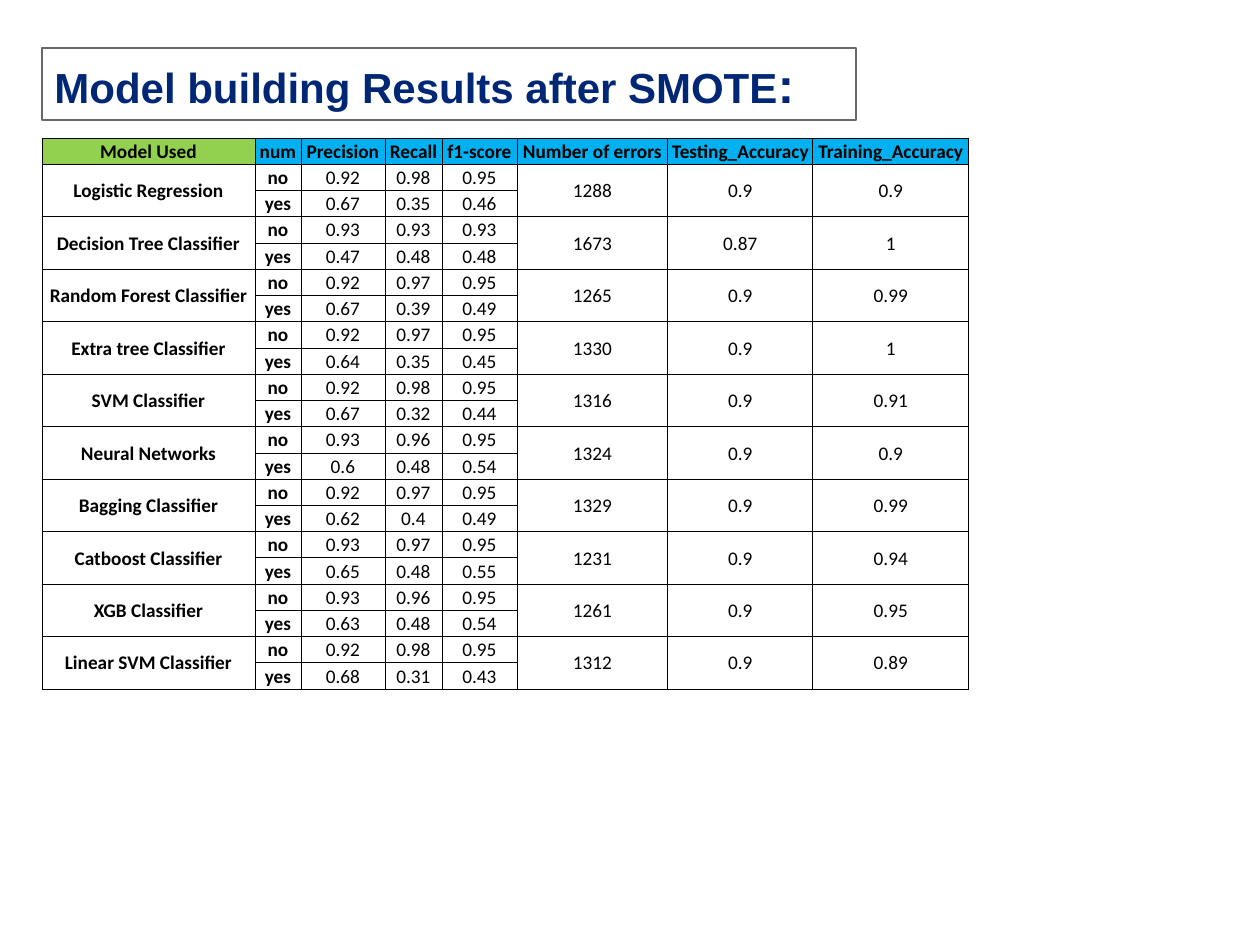
import pptx
import pptx.dml.color
import pptx.enum.shapes
import pptx.enum.text
import pptx.oxml
import pptx.oxml.ns
import pptx.util

RGB = pptx.dml.color.RGBColor
BLACK = RGB(0x00, 0x00, 0x00)
WHITE = RGB(0xFF, 0xFF, 0xFF)
GRAY = RGB(0x69, 0x69, 0x69)
NAVY = RGB(0x00, 0x27, 0x76)
GREEN = RGB(0x92, 0xD0, 0x50)
BLUE = RGB(0x00, 0xB0, 0xF0)

COLUMNS = [  # heading, width in px
    ("Model Used", 213), ("num", 46), ("Precision", 84), ("Recall", 57),
    ("f1-score", 75), ("Number of errors", 151),
    ("Testing_Accuracy", 145), ("Training_Accuracy", 156),
]
RESULTS = [  # model, scores for "no", scores for "yes", errors and accuracies
    ("Logistic Regression", "0.92 0.98 0.95", "0.67 0.35 0.46", "1288 0.9 0.9"),
    ("Decision Tree Classifier", "0.93 0.93 0.93", "0.47 0.48 0.48", "1673 0.87 1"),
    ("Random Forest Classifier", "0.92 0.97 0.95", "0.67 0.39 0.49", "1265 0.9 0.99"),
    ("Extra tree Classifier", "0.92 0.97 0.95", "0.64 0.35 0.45", "1330 0.9 1"),
    ("SVM Classifier", "0.92 0.98 0.95", "0.67 0.32 0.44", "1316 0.9 0.91"),
    ("Neural Networks", "0.93 0.96 0.95", "0.6 0.48 0.54", "1324 0.9 0.9"),
    ("Bagging Classifier", "0.92 0.97 0.95", "0.62 0.4 0.49", "1329 0.9 0.99"),
    ("Catboost Classifier", "0.93 0.97 0.95", "0.65 0.48 0.55", "1231 0.9 0.94"),
    ("XGB Classifier", "0.93 0.96 0.95", "0.63 0.48 0.54", "1261 0.9 0.95"),
    ("Linear SVM Classifier", "0.92 0.98 0.95", "0.68 0.31 0.43", "1312 0.9 0.89"),
]


def px(n):
    return pptx.util.Emu(round(n * 914400 / 126))


def format_run(r, font, size, color, bold):
    r.font.name = font
    r.font.size = pptx.util.Pt(size)
    r.font.color.rgb = color
    r.font.bold = bold


def add_title(s, x, y, w, h):
    sp = s.shapes.add_shape(pptx.enum.shapes.MSO_SHAPE.RECTANGLE, px(x), px(y), px(w), px(h))
    sp.shadow.inherit = False
    sp.fill.solid()
    sp.fill.fore_color.rgb = WHITE
    sp.line.color.rgb = GRAY
    sp.line.width = pptx.util.Pt(0.75)
    tf = sp.text_frame
    tf.word_wrap = True
    tf.vertical_anchor = pptx.enum.text.MSO_ANCHOR.BOTTOM
    p = tf.paragraphs[0]
    p.alignment = pptx.enum.text.PP_ALIGN.LEFT
    for text, size in (("Model building Results after SMOTE", 24), (":", 28)):
        r = p.add_run()
        r.text = text
        format_run(r, "Arial", size, NAVY, True)


def add_borders(cell):
    tcPr = cell._tc.get_or_add_tcPr()
    for side in ("lnL", "lnR", "lnT", "lnB"):
        tcPr.append(pptx.oxml.parse_xml(
            f'<a:{side} {pptx.oxml.ns.nsdecls("a")} w="{pptx.util.Pt(0.5)}">'
            f'<a:solidFill><a:srgbClr val="{BLACK}"/></a:solidFill></a:{side}>'))


def fill_cell(cell, text, bold, fill=None):
    cell.margin_left = cell.margin_right = cell.margin_top = px(1)
    cell.margin_bottom = 0
    cell.vertical_anchor = pptx.enum.text.MSO_ANCHOR.MIDDLE
    add_borders(cell)
    if fill is None:
        cell.fill.background()
    else:
        cell.fill.solid()
        cell.fill.fore_color.rgb = fill
    p = cell.text_frame.paragraphs[0]
    p.text = text
    p.alignment = pptx.enum.text.PP_ALIGN.CENTER
    for r in p.runs:
        format_run(r, "Calibri", 11, BLACK, bold)


def add_results_table(s, x, y, w, h):
    rows = 1 + 2 * len(RESULTS)
    table = s.shapes.add_table(rows, len(COLUMNS), px(x), px(y), px(w), px(h)).table
    table.first_row = table.horz_banding = False

    # Heading row and column widths
    for col, (heading, width) in enumerate(COLUMNS):
        table.columns[col].width = px(width)
        fill_cell(table.cell(0, col), heading, True, BLUE if col else GREEN)

    # Two rows for each model; its name and totals span both
    for i, (model, no, yes, totals) in enumerate(RESULTS):
        top = 1 + 2 * i
        pair = ([model, "no", *no.split(), *totals.split()],
                ["", "yes", *yes.split(), "", "", ""])
        for row, values in enumerate(pair, top):
            for col, value in enumerate(values):
                fill_cell(table.cell(row, col), value, col < 2)
        for col in (0, 5, 6, 7):
            table.cell(top, col).merge(table.cell(top + 1, col))


def main():
    prs = pptx.Presentation()
    prs.slide_width, prs.slide_height = px(1260), px(945)
    s = prs.slides.add_slide(prs.slide_layouts[6])
    add_title(s, 42, 48, 814, 72)
    add_results_table(s, 42, 138, 927, 552)
    prs.save("out.pptx")


if __name__ == "__main__":
    main()
